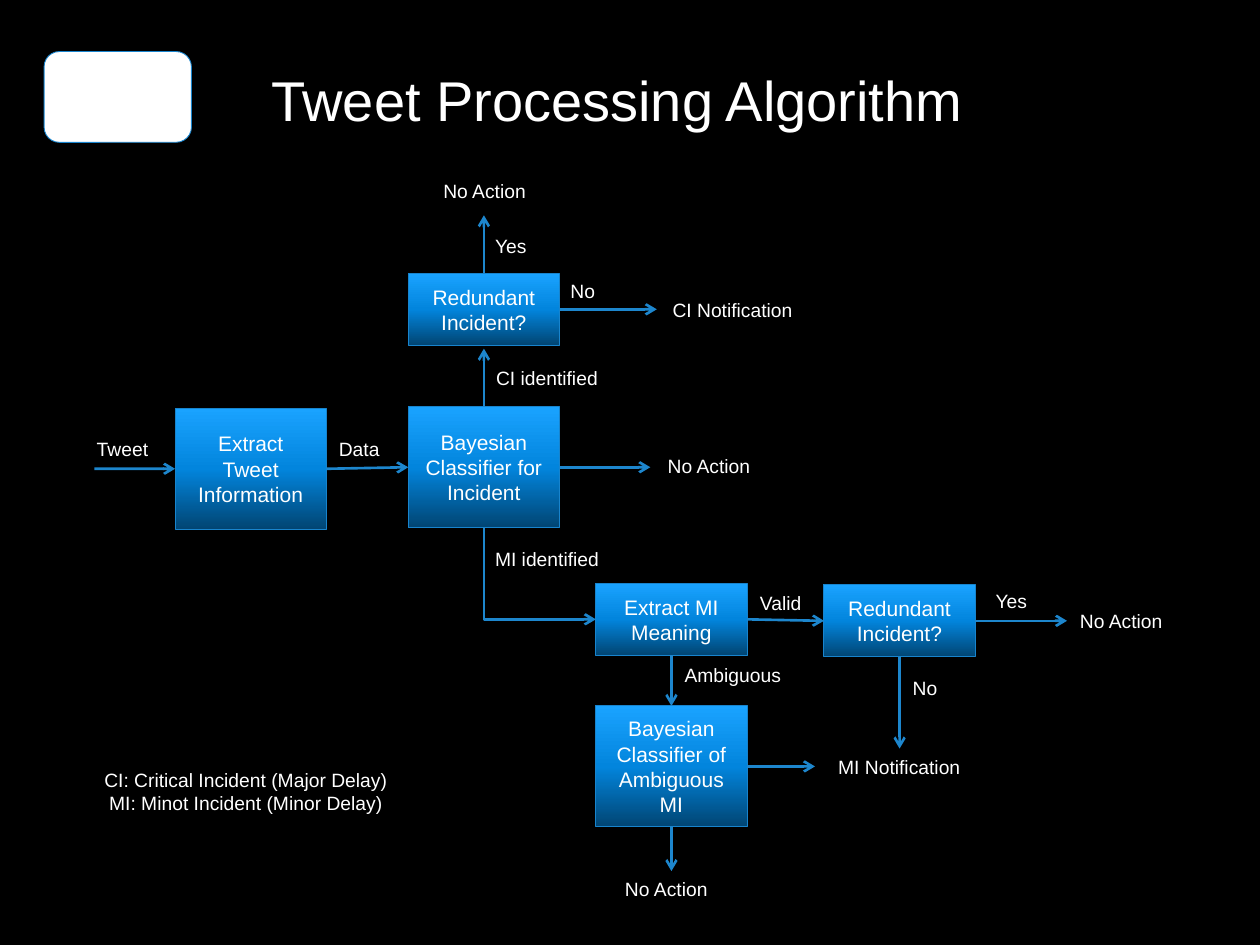
from copy import deepcopy

from lxml import etree
from pptx import Presentation
from pptx.dml.color import RGBColor
from pptx.enum.shapes import MSO_CONNECTOR, MSO_SHAPE
from pptx.enum.text import MSO_ANCHOR, PP_ALIGN
from pptx.oxml.ns import qn
from pptx.util import Cm, Pt

LEFT, CENTER = PP_ALIGN.LEFT, PP_ALIGN.CENTER
TOP_ANCHOR, MIDDLE = MSO_ANCHOR.TOP, MSO_ANCHOR.MIDDLE
RECT, ROUND = MSO_SHAPE.RECTANGLE, MSO_SHAPE.ROUNDED_RECTANGLE
STRAIGHT, ELBOW = MSO_CONNECTOR.STRAIGHT, MSO_CONNECTOR.ELBOW
TOP, WEST, BOTTOM, EAST = range(4)  # connection sites of a rectangle

COLORS = {
    "back": "000000", "text": "FFFFFF", "plate": "FFFFFF",
    "edge": "1884CD", "arrow": "1D86CD",
    "dark": "014573", "mid": "0285DD", "light": "1AA3FF",
}
FONT = "Arial"
BOX_W, LOW, TALL = 3.05, 1.45, 2.44
LABEL_W, LABEL_H = 4.04, 0.74


def color(name):
    return RGBColor.from_string(COLORS[name])


def write(frame, text, size, align, anchor):
    frame.word_wrap = True
    frame.vertical_anchor = anchor
    frame.text = text
    for para in frame.paragraphs:
        para.alignment = align
        para.font.name = FONT
        para.font.size = Pt(size)
        para.font.color.rgb = color("text")


def add_text(slide, x, y, w, h, text, size=11, align=LEFT, anchor=TOP_ANCHOR):
    box = slide.shapes.add_textbox(Cm(x), Cm(y), Cm(w), Cm(h))
    write(box.text_frame, text, size, align, anchor)


def add_labels(slide, x, y, labels):
    for dx, dy, w, text, align in labels:
        add_text(slide, x + dx, y + dy, w, LABEL_H, text, align=align)


def add_plain(slide, kind, x, y, w, h):
    shape = slide.shapes.add_shape(kind, Cm(x), Cm(y), Cm(w), Cm(h))
    shape.shadow.inherit = False
    shape.line.color.rgb = color("edge")
    shape.line.width = Pt(0.5)
    return shape


def add_step(slide, x, y, h, text):
    shape = add_plain(slide, RECT, x, y, BOX_W, h)
    fill = shape.fill
    fill.gradient()
    fill.gradient_angle = 90
    # A third stop between the two default ones
    stops = shape._element.spPr.find(qn("a:gradFill")).find(qn("a:gsLst"))
    stops.insert(1, deepcopy(stops[0]))
    for stop, pos, name in zip(fill.gradient_stops, (0, 0.5, 1),
                               ("dark", "mid", "light")):
        stop.position = pos
        stop.color.rgb = color(name)
    write(shape.text_frame, text, 12, CENTER, MIDDLE)
    return shape


def site(shape, side):
    x, y, w, h = shape.left, shape.top, shape.width, shape.height
    return {TOP: (x + w // 2, y), WEST: (x, y + h // 2),
            BOTTOM: (x + w // 2, y + h), EAST: (x + w, y + h // 2)}[side]


def add_arrow(slide, start, end, kind=STRAIGHT):
    line = slide.shapes.add_connector(kind, *start, *end)
    line.line.color.rgb = color("arrow")
    line.line.width = Pt(1.5)
    etree.SubElement(line.line._get_or_add_ln(), qn("a:tailEnd"), type="arrow")
    etree.SubElement(line._element.spPr, qn("a:effectLst"))
    return line


def add_exit(slide, shape, side, length):
    x, y = site(shape, side)
    dx, dy = {TOP: (0, -1), BOTTOM: (0, 1), EAST: (1, 0)}[side]
    line = add_arrow(slide, (x, y),
                     (x + dx * Cm(length), y + dy * Cm(length)))
    line.begin_connect(shape, side)


def add_link(slide, first, side, second, goal, kind=STRAIGHT):
    line = add_arrow(slide, site(first, side), site(second, goal), kind)
    line.begin_connect(first, side)
    line.end_connect(second, goal)
    return line


def add_bend(slide, first, second):
    """Go down from the first box, then right into the second."""
    line = add_link(slide, first, BOTTOM, second, WEST, ELBOW)
    x, y, w, h = line.left, line.top, line.width, line.height
    # One-corner connector: turned a quarter and mirrored about its centre
    line.left, line.top = x + (w - h) // 2, y + (h - w) // 2
    line.width, line.height = h, w
    props = line._element.spPr
    props.find(qn("a:prstGeom")).set("prst", "bentConnector2")
    frame = props.find(qn("a:xfrm"))
    frame.set("rot", "16200000")
    frame.set("flipH", "1")


def add_header(slide, x, y, w, h):
    plate = add_plain(slide, ROUND, x, y + 0.71, 2.97, 1.83)
    plate.fill.solid()
    plate.fill.fore_color.rgb = color("plate")
    add_text(slide, x + 4.11, y, w - 4.11, h, "Tweet Processing Algorithm",
             32, CENTER, MIDDLE)


def add_incident(slide, x, y):
    """Read the tweet, classify it and handle critical incidents."""
    extract = add_step(slide, x + 2.03, y + 4.83, TALL,
                       "Extract Tweet Information")
    bayes = add_step(slide, x + 6.73, y + 4.8, TALL,
                     "Bayesian Classifier for Incident")
    check = add_step(slide, x + 6.73, y + 2.11, LOW, "Redundant Incident?")

    entry = add_arrow(slide, (Cm(x + 0.4), Cm(y + 6.05)), site(extract, WEST))
    entry.end_connect(extract, WEST)
    add_link(slide, extract, EAST, bayes, WEST)
    for shape, side, length in ((bayes, EAST, 1.83), (bayes, TOP, 1.17),
                                (check, TOP, 1.17), (check, EAST, 1.96)):
        add_exit(slide, shape, side, length)

    add_labels(slide, x, y, (
        (0.2, 5.29, 1.63, "Tweet", LEFT),
        (5.08, 5.29, 1.45, "Data", LEFT),
        (11.71, 5.64, LABEL_W, "No Action", LEFT),
        (8.25, 3.86, LABEL_W, "CI identified", LEFT),
        (8.23, 7.5, LABEL_W, "MI identified", LEFT),
        (9.75, 2.11, LABEL_W, "No", LEFT),
        (11.25, 2.49, LABEL_W, "CI Notification", CENTER),
        (8.23, 1.2, LABEL_W, "Yes", LEFT),
        (6.25, 0.08, LABEL_W, "No Action", CENTER),
    ))
    return bayes


def add_minor(slide, x, y):
    """Interpret minor incidents."""
    extract = add_step(slide, x, y, LOW, "Extract MI Meaning")
    check = add_step(slide, x + 4.6, y + 0.03, LOW, "Redundant Incident?")
    bayes = add_step(slide, x, y + 2.47, TALL,
                     "Bayesian Classifier of Ambiguous MI")

    add_link(slide, extract, EAST, check, WEST)
    add_link(slide, extract, BOTTOM, bayes, TOP)
    for shape, side, length in ((check, EAST, 1.85), (check, BOTTOM, 1.85),
                                (bayes, EAST, 1.37), (bayes, BOTTOM, 0.89)):
        add_exit(slide, shape, side, length)

    add_labels(slide, x, y, (
        (3.06, 0.04, LABEL_W, "Valid", LEFT),
        (1.54, 1.48, LABEL_W, "Ambiguous", LEFT),
        (7.81, 0, LABEL_W, "Yes", LEFT),
        (9.51, 0.39, 2.39, "No Action", LEFT),
        (6.14, 1.74, LABEL_W, "No", LEFT),
        (4.43, 3.34, 3.38, "MI Notification", CENTER),
        (0.34, 5.8, 2.39, "No Action", LEFT),
    ))
    return extract


def main():
    deck = Presentation()
    deck.slide_width, deck.slide_height = Cm(25.4), Cm(19.05)
    slide = deck.slides.add_slide(deck.slide_layouts[6])
    slide.background.fill.solid()
    slide.background.fill.fore_color.rgb = color("back")

    add_header(slide, 0.89, 0.33, 19, 3.33)
    bayes = add_incident(slide, 1.5, 3.4)
    extract = add_minor(slide, 12.01, 11.76)
    add_bend(slide, bayes, extract)
    # Legend
    add_text(slide, 1.52, 15.37, 6.88, 1.19,
             "CI: Critical Incident (Major Delay)\n"
             "MI: Minot Incident (Minor Delay)", align=CENTER)
    deck.save("out.pptx")


if __name__ == "__main__":
    main()
